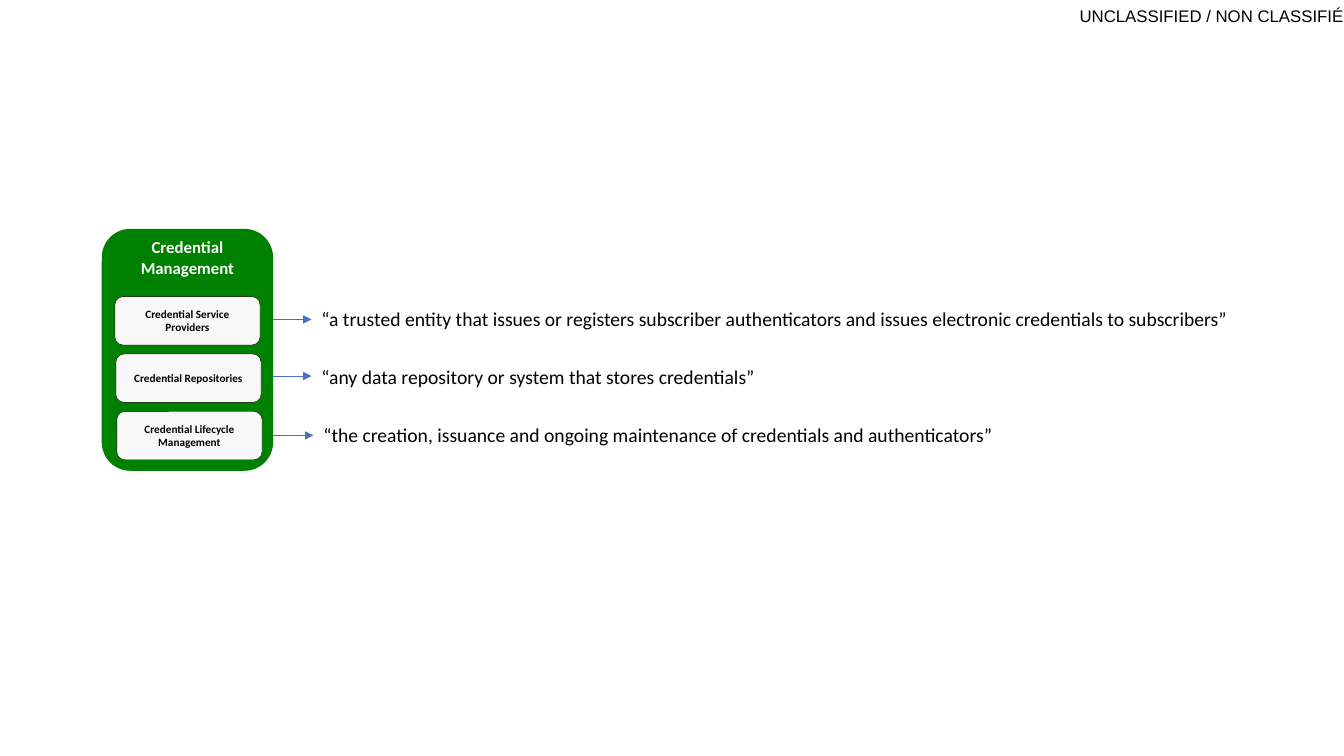
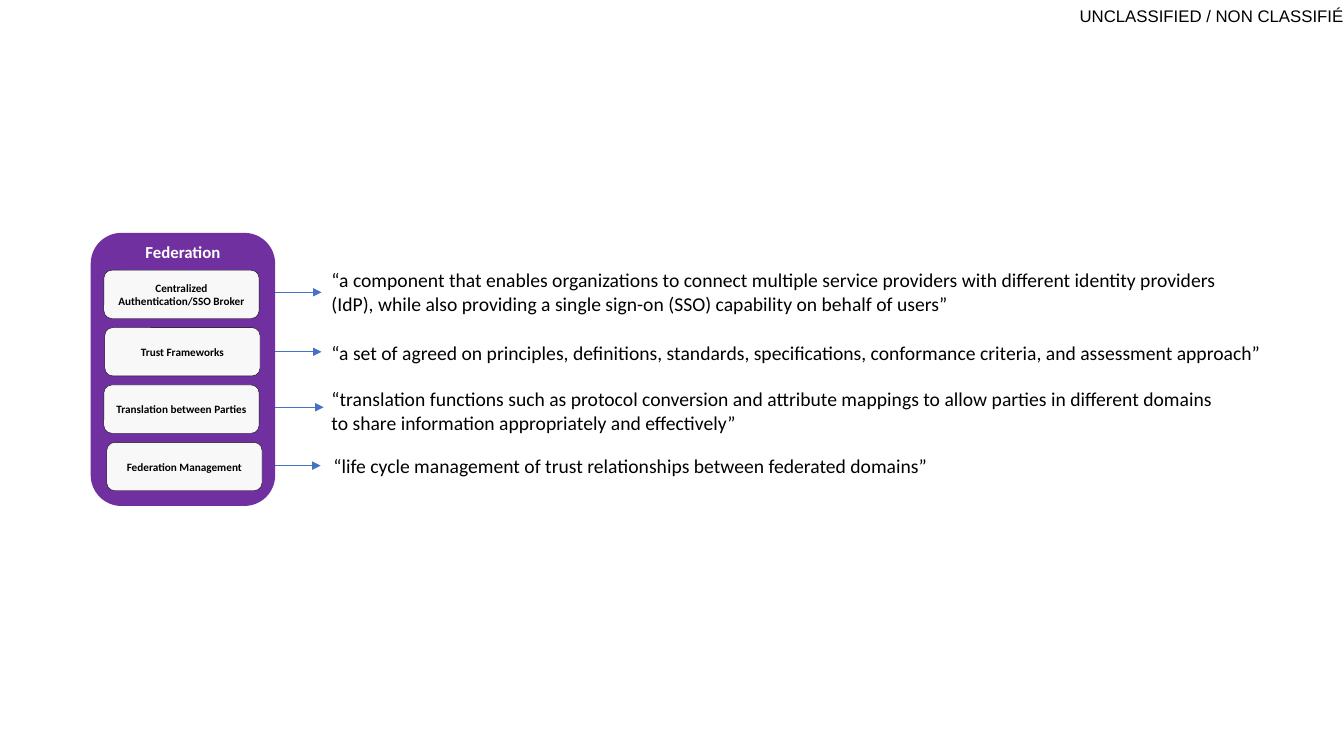
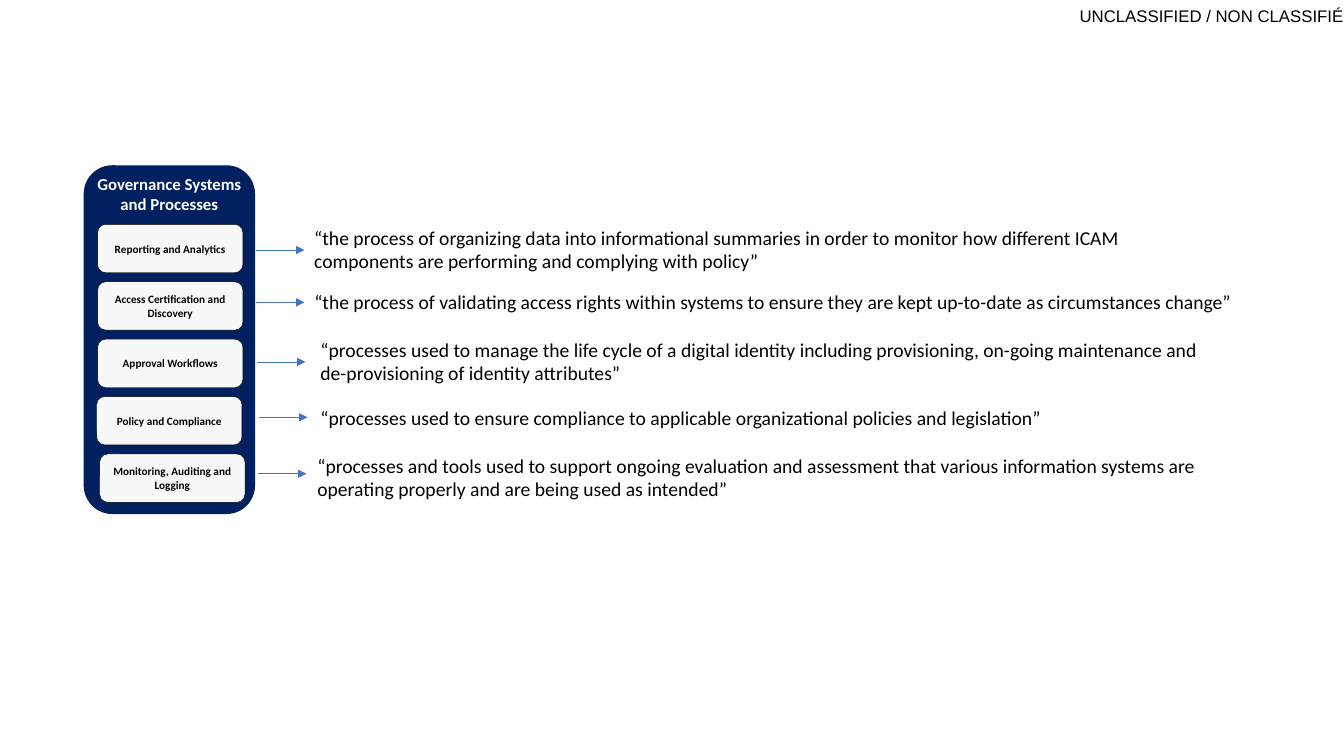
"""Build three slides that define identity management capabilities."""
import dataclasses

import lxml.etree
import pptx
import pptx.dml.color
import pptx.enum.shapes
import pptx.enum.text
import pptx.oxml.ns
import pptx.shapes.base
import pptx.shapes.shapetree
import pptx.slide
import pptx.util

Pt = pptx.util.Pt
Align = pptx.enum.text.PP_ALIGN
Anchor = pptx.enum.text.MSO_ANCHOR

COLOURS = {
    "ink": "000000",
    "paper": "FFFFFF",
    "cell": "F8F8F8",
    "arrow": "4472C4",
    "credential": "008000",
    "federation": "7030A0",
    "governance": "002060",
}
CELL_HEIGHT = 34.5
CELL_PITCH = 41
ARROW_LENGTH = 34.5
TEXT_HEIGHTS = {1: 24.5, 2: 41}


@dataclasses.dataclass(frozen=True)
class Capability:
    """One cell of a panel, with its arrow and definition."""

    label: str
    definition: str
    cell_left: float
    arrow_tip: float
    arrow_y: float
    text_left: float
    text_middle: float
    lines: int = 1
    text_width: float = 654


@dataclasses.dataclass(frozen=True)
class Panel:
    """A coloured panel that stacks capability cells."""

    heading: str
    colour: str
    left: float
    top: float
    width: float
    height: float
    inset: float
    cell_width: float
    first_cell: float
    capabilities: tuple[Capability, ...]


PANELS = (
    Panel("Credential Management", "credential", 72.7, 163.5, 122.4, 172.8, 3.6, 103.7, 211.9, (
        Capability("Credential Service Providers",
                   "“a trusted entity that issues or registers subscriber authenticators "
                   "and issues electronic credentials to subscribers”",
                   82.1, 222.5, 228.2, 222.5, 228.2, text_width=669),
        Capability("Credential Repositories",
                   "“any data repository or system that stores credentials”",
                   82.8, 222.5, 268.6, 222.5, 269.3),
        Capability("Credential Lifecycle Management",
                   "“the creation, issuance and ongoing maintenance of credentials "
                   "and authenticators”",
                   83.5, 223.9, 311, 223.9, 311),
    )),
    Panel("Federation", "federation", 64.8, 166.3, 131.8, 195.1, 2.9, 110.9, 193, (
        Capability("Centralized Authentication/SSO Broker",
                   "“a component that enables organizations to connect multiple service "
                   "providers with different identity providers (IdP), while also providing "
                   "a single sign-on (SSO) capability on behalf of users”",
                   74.2, 229.7, 208.8, 229.7, 208.4, lines=2),
        Capability("Trust Frameworks",
                   "“a set of agreed on principles, definitions, standards, specifications, "
                   "conformance criteria, and assessment approach”",
                   74.9, 229.7, 251.3, 229.7, 252, text_width=682.6),
        Capability("Translation between Parties",
                   "“translation functions such as protocol conversion and attribute mappings "
                   "to allow parties in different domains to share information appropriately "
                   "and effectively”",
                   74.2, 231.1, 290.9, 229.7, 293.4, lines=2),
        Capability("Federation Management",
                   "“life cycle management of trust relationships between federated domains”",
                   76.3, 229, 332.6, 231.1, 332.6),
    )),
    Panel("Governance Systems and Processes", "governance",
          59.8, 118.1, 122.4, 249.1, 3.6, 103.7, 160.3, (
        Capability("Reporting and Analytics",
                   "“the process of organizing data into informational summaries in order to "
                   "monitor how different ICAM components are performing and complying "
                   "with policy”",
                   69.8, 217.4, 178.6, 217.4, 178.2, lines=2),
        Capability("Access Certification and Discovery",
                   "“the process of validating access rights within systems to ensure they "
                   "are kept up-to-date as circumstances change”",
                   69.8, 217.4, 216, 217.4, 216, text_width=683.3),
        Capability("Approval Workflows",
                   "“processes used to manage the life cycle of a digital identity including "
                   "provisioning, on-going maintenance and de-provisioning of identity "
                   "attributes”",
                   69.8, 218.2, 258.5, 221.8, 258.1, lines=2),
        Capability("Policy and Compliance",
                   "“processes used to ensure compliance to applicable organizational "
                   "policies and legislation”",
                   69.1, 219.6, 298.1, 221.8, 298.8),
        Capability("Monitoring, Auditing and Logging",
                   "“processes and tools used to support ongoing evaluation and assessment "
                   "that various information systems are operating properly and are being "
                   "used as intended”",
                   71.3, 218.9, 338.4, 219.6, 340.9, lines=2),
    )),
)


def rgb(name: str) -> pptx.dml.color.RGBColor:
    """Return a named colour."""
    return pptx.dml.color.RGBColor.from_string(COLOURS[name])


def write(box: pptx.shapes.base.BaseShape, text: str, *, size: float,
          font: str = "Calibri", colour: str = "ink", bold: bool = False,
          align: Align = Align.LEFT, anchor: Anchor = Anchor.TOP,
          inset: tuple[float, float] = (7.2, 3.6), grow: bool = False) -> None:
    """Put formatted text in a box."""
    frame = box.text_frame
    frame.word_wrap = True
    frame.vertical_anchor = anchor
    frame.margin_left = frame.margin_right = Pt(inset[0])
    frame.margin_top = frame.margin_bottom = Pt(inset[1])
    if grow:
        frame.auto_size = pptx.enum.text.MSO_AUTO_SIZE.SHAPE_TO_FIT_TEXT
    para = frame.paragraphs[0]
    para.alignment = align
    span = para.add_run()
    span.text = text
    span.font.name = font
    span.font.size = Pt(size)
    span.font.bold = bold
    span.font.color.rgb = rgb(colour)


def add_rounded(shapes: pptx.shapes.shapetree.GroupShapes, left: float, top: float,
                width: float, height: float, fill: str,
                line: str | None = None) -> pptx.shapes.base.BaseShape:
    """Add a flat rounded rectangle."""
    box = shapes.add_shape(pptx.enum.shapes.MSO_SHAPE.ROUNDED_RECTANGLE,
                           Pt(left), Pt(top), Pt(width), Pt(height))
    box.shadow.inherit = False
    box.fill.solid()
    box.fill.fore_color.rgb = rgb(fill)
    if line:
        box.line.color.rgb = rgb(line)
        box.line.width = Pt(0.25)
    else:
        box.line.fill.background()
    return box


def add_definition(page: pptx.slide.Slide, item: Capability) -> None:
    """Add the definition of a capability."""
    height = TEXT_HEIGHTS[item.lines]
    box = page.shapes.add_textbox(Pt(item.text_left), Pt(item.text_middle - height / 2),
                                  Pt(item.text_width), Pt(height))
    write(box, item.definition, size=14, grow=True)


def add_arrow(page: pptx.slide.Slide, item: Capability) -> None:
    """Add the arrow that points at a definition."""
    arrow = page.shapes.add_connector(
        pptx.enum.shapes.MSO_CONNECTOR.STRAIGHT,
        Pt(item.arrow_tip - ARROW_LENGTH), Pt(item.arrow_y),
        Pt(item.arrow_tip), Pt(item.arrow_y))
    arrow.line.color.rgb = rgb("arrow")
    arrow.line.width = Pt(0.5)
    qn = pptx.oxml.ns.qn
    outline = arrow.line._get_or_add_ln()
    lxml.etree.SubElement(outline, qn("a:tailEnd"), type="triangle")
    lxml.etree.SubElement(outline.getparent(), qn("a:effectLst"))


def add_panel(page: pptx.slide.Slide, panel: Panel) -> None:
    """Add a panel and its stacked cells as one group."""
    shapes = page.shapes.add_group_shape().shapes
    body = add_rounded(shapes, panel.left, panel.top, panel.width, panel.height, panel.colour)
    write(body, panel.heading, size=12, colour="paper", bold=True,
          align=Align.CENTER, inset=(panel.inset, 0))
    for index, item in enumerate(panel.capabilities):
        cell = add_rounded(shapes, item.cell_left, panel.first_cell + index * CELL_PITCH,
                           panel.cell_width, CELL_HEIGHT, "cell", "ink")
        write(cell, item.label, size=8, bold=True, align=Align.CENTER, anchor=Anchor.MIDDLE)


def mark_layout(layout: pptx.slide.SlideLayout, page: pptx.slide.Slide) -> None:
    """Give the layout the classification marking as its only content."""
    for placeholder in list(layout.placeholders):
        placeholder.element.getparent().remove(placeholder.element)
    box = page.shapes.add_textbox(Pt(742.3), Pt(0), Pt(217.5), Pt(22.3))
    write(box, "UNCLASSIFIED / NON CLASSIFIÉ", size=12, font="Arial",
          align=Align.RIGHT, anchor=Anchor.MIDDLE, inset=(0, 0), grow=True)
    layout.shapes.element.append(box.element)


def main() -> None:
    """Build and save the deck."""
    deck = pptx.Presentation()
    deck.slide_width, deck.slide_height = Pt(960), Pt(540)
    layout = deck.slide_layouts.get_by_name("Blank")
    pages = [deck.slides.add_slide(layout) for _ in PANELS]
    mark_layout(layout, pages[0])
    for page, panel in zip(pages, PANELS):
        for item in panel.capabilities:
            add_definition(page, item)
        for item in panel.capabilities:
            add_arrow(page, item)
        add_panel(page, panel)
    deck.save("out.pptx")


main()
